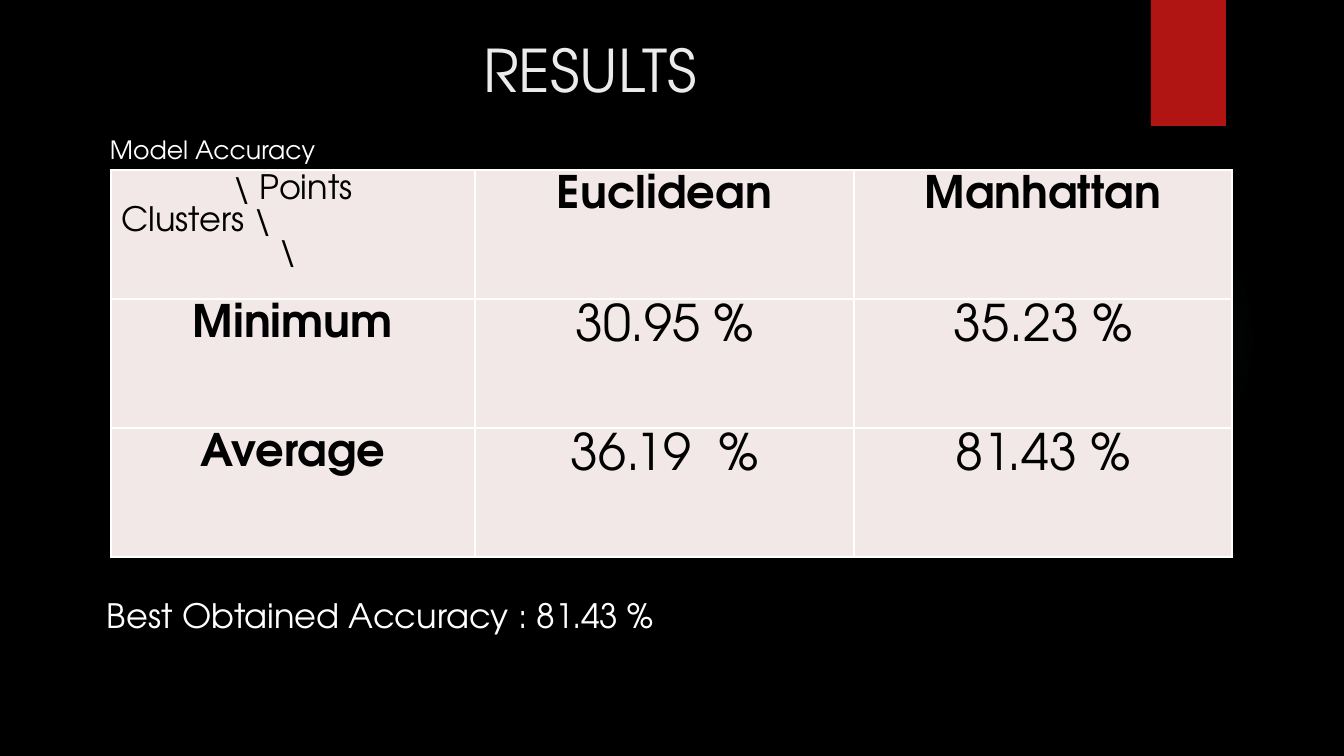
"""Build the results slide: model accuracy by distance measure."""
from dataclasses import dataclass

from lxml import etree
from pptx import Presentation
from pptx.dml.color import RGBColor
from pptx.enum.shapes import MSO_SHAPE as Shape
from pptx.enum.text import MSO_ANCHOR as Anchor, PP_ALIGN as Align
from pptx.oxml import parse_xml
from pptx.oxml.ns import nsdecls, qn
from pptx.util import Pt

HEADING = "RESULTS"
CAPTION = "Model Accuracy"
CONCLUSION = "Best Obtained Accuracy : 81.43 %"
CORNER = [("\\ Points", 112), ("Clusters \\", 0), ("\\", 158)]
MEASURES = ["Euclidean", "Manhattan"]
ACCURACIES = [("Minimum", "30.95 %", "35.23 %"), ("Average", "36.19  %", "81.43 %")]

SLIDE_SIZE = (1344, 756)
HEADING_BOX = (72, 27, 1036, 95)
GLOW_BOX = (949, 184, 310, 310)
RIBBON_BOX = (1151, 0, 75, 126)
TABLE_AT = (111, 170)
COLUMN_WIDTHS = [364, 379, 378]
ROW_HEIGHT = 129
CAPTION_BOX = (100, 129, 350, 40)
CONCLUSION_BOX = (97, 590, 1096, 50)
GLOW_STOPS = [(0, 7), (36, 6), (69, 0)]


@dataclass(frozen=True)
class Theme:
    font: str = "TeX Gyre Adventor"
    back: str = "000000"
    ink: str = "000000"
    light: str = "FFFFFF"
    heading: str = "EBEBEB"
    ribbon: str = "B01513"
    glow: str = "50B9C1"
    cell: str = "F2E8E7"
    heading_size: int = 42
    figure_size: int = 36
    label_size: int = 32
    body_size: int = 24
    caption_size: int = 18


THEME = Theme()


def px(length):
    return round(length * 914400 / 100.8)


def box(lengths):
    return [px(length) for length in lengths]


def write(frame, lines, *, size, color, bold=False, align=Align.LEFT, spacing=1.0, anchor=Anchor.TOP):
    """Fill a text frame with (text, indent) lines in one format."""
    frame.word_wrap = True
    frame.vertical_anchor = anchor
    for index, (text, indent) in enumerate(lines):
        paragraph = frame.paragraphs[0] if index == 0 else frame.add_paragraph()
        paragraph.alignment = align
        paragraph.line_spacing = spacing
        if indent:
            paragraph._p.get_or_add_pPr().set("marL", str(px(indent)))
        run = paragraph.add_run()
        run.text = text
        run.font.name = THEME.font
        run.font.size = Pt(size)
        run.font.bold = bold
        run.font.color.rgb = RGBColor.from_string(color)


def add_plain(slide, kind, lengths, color):
    shape = slide.shapes.add_shape(kind, *box(lengths))
    shape.shadow.inherit = False
    shape.fill.solid()
    shape.fill.fore_color.rgb = RGBColor.from_string(color)
    shape.line.fill.background()
    return shape


def add_glow(slide):
    glow = add_plain(slide, Shape.OVAL, GLOW_BOX, THEME.glow)
    stops = "".join(
        f'<a:gs pos="{place * 1000}"><a:srgbClr val="{THEME.glow}">'
        f'<a:alpha val="{alpha * 1000}"/></a:srgbClr></a:gs>'
        for place, alpha in GLOW_STOPS
    )
    gradient = parse_xml(
        f'<a:gradFill {nsdecls("a")}><a:gsLst>{stops}</a:gsLst><a:path path="circle">'
        '<a:fillToRect l="50000" t="50000" r="50000" b="50000"/></a:path></a:gradFill>'
    )
    properties = glow._element.spPr
    properties.replace(properties.find(qn("a:solidFill")), gradient)


def style_cell(cell):
    properties = cell._tc.get_or_add_tcPr()
    for side in ("a:lnL", "a:lnR", "a:lnT", "a:lnB"):
        border = etree.SubElement(properties, qn(side), w=str(Pt(1)))
        paint = etree.SubElement(border, qn("a:solidFill"))
        etree.SubElement(paint, qn("a:srgbClr"), val=THEME.light)
    cell.fill.solid()
    cell.fill.fore_color.rgb = RGBColor.from_string(THEME.cell)


def add_accuracies(slide):
    rows = [(CORNER, *MEASURES), *ACCURACIES]
    size = (sum(COLUMN_WIDTHS), ROW_HEIGHT * len(rows))
    table = slide.shapes.add_table(len(rows), len(COLUMN_WIDTHS), *box(TABLE_AT + size)).table
    for column, width in zip(table.columns, COLUMN_WIDTHS):
        column.width = px(width)
    for r, row in enumerate(rows):
        table.rows[r].height = px(ROW_HEIGHT)
        for c, content in enumerate(row):
            cell = table.cell(r, c)
            style_cell(cell)
            corner = r == 0 and c == 0
            label = not corner and (r == 0 or c == 0)
            points = THEME.body_size if corner else THEME.label_size if label else THEME.figure_size
            write(cell.text_frame, content if corner else [(content, 0)], size=points,
                  color=THEME.ink, bold=label, align=Align.LEFT if corner else Align.CENTER)


def main():
    deck = Presentation()
    deck.slide_width, deck.slide_height = box(SLIDE_SIZE)
    slide = deck.slides.add_slide(deck.slide_layouts[5])
    slide.background.fill.solid()
    slide.background.fill.fore_color.rgb = RGBColor.from_string(THEME.back)

    heading = slide.shapes.title
    heading.left, heading.top, heading.width, heading.height = box(HEADING_BOX)
    write(heading.text_frame, [(HEADING, 0)], size=THEME.heading_size, color=THEME.heading,
          align=Align.CENTER, spacing=0.85, anchor=Anchor.MIDDLE)

    add_glow(slide)
    add_plain(slide, Shape.RECTANGLE, RIBBON_BOX, THEME.ribbon)
    add_accuracies(slide)
    for text, lengths, size in [
        (CAPTION, CAPTION_BOX, THEME.caption_size),
        (CONCLUSION, CONCLUSION_BOX, THEME.body_size),
    ]:
        note = slide.shapes.add_textbox(*box(lengths))
        write(note.text_frame, [(text, 0)], size=size, color=THEME.light)
    deck.save("out.pptx")


if __name__ == "__main__":
    main()
